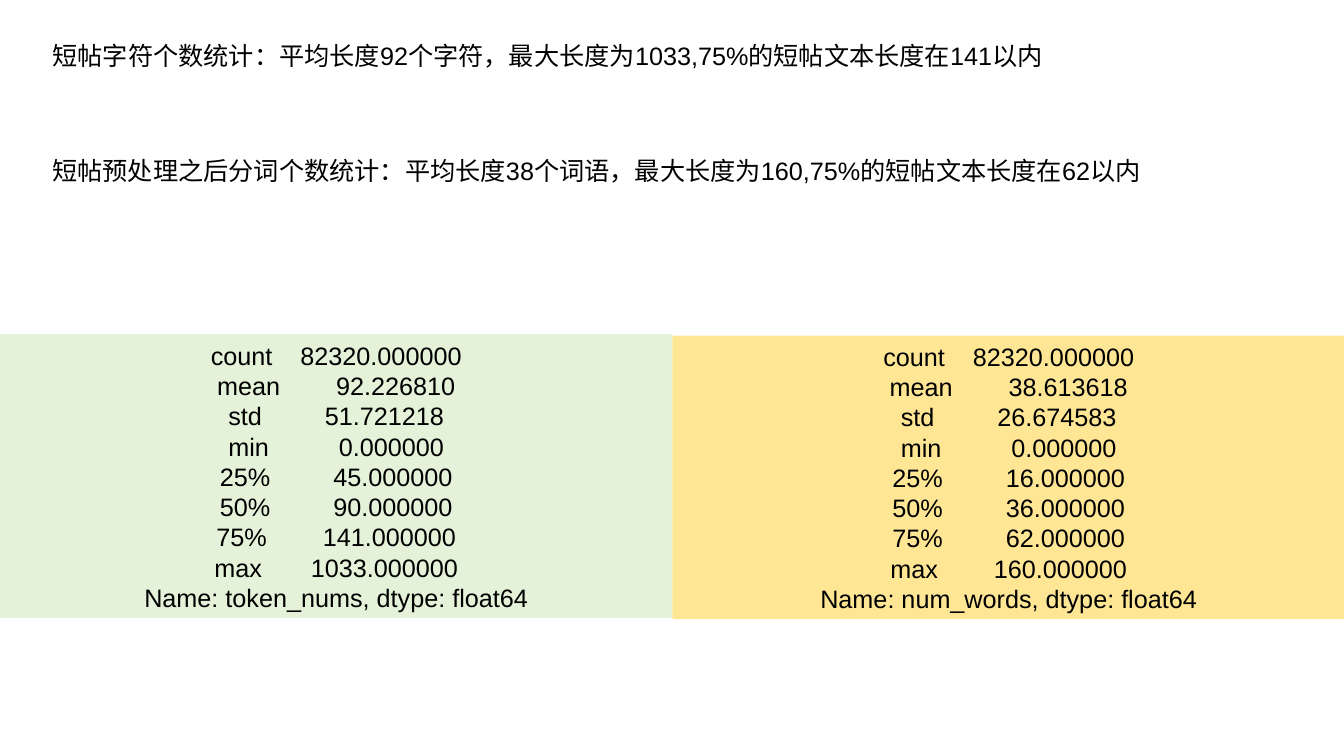
from typing import NamedTuple, Optional

from pptx import Presentation
from pptx.dml.color import RGBColor
from pptx.enum.shapes import MSO_SHAPE
from pptx.enum.text import MSO_ANCHOR, MSO_AUTO_SIZE, PP_ALIGN
from pptx.util import Inches, Pt

BLACK = RGBColor(0x00, 0x00, 0x00)
WHITE = RGBColor(0xFF, 0xFF, 0xFF)
GREEN = RGBColor(0xE3, 0xF2, 0xD9)
YELLOW = RGBColor(0xFE, 0xE6, 0x95)

FONT, SIZE = "Arial", Pt(18)
SLIDE_W, SLIDE_H = 13.33, 7.5
PANEL_W, PANEL_BOTTOM = 6.67, 6.14
STATS = ("count", "mean", "std", "min", "25%", "50%", "75%", "max")


class Panel(NamedTuple):
    series: str
    left: float
    top: float
    fill: RGBColor
    line: Optional[RGBColor]
    values: tuple[float, ...]


SUMMARIES = (
    "短帖字符个数统计：平均长度92个字符，最大长度为1033,75%的短帖文本长度在141以内",
    "短帖预处理之后分词个数统计：平均长度38个词语，最大长度为160,75%的短帖文本长度在62以内",
)
PANELS = (
    Panel("token_nums", 0, 3.31, GREEN, WHITE,
          (82320, 92.22681, 51.721218, 0, 45, 90, 141, 1033)),
    Panel("num_words", PANEL_W, 3.33, YELLOW, None,
          (82320, 38.613618, 26.674583, 0, 16, 36, 62, 160)),
)


def set_text(tf, lines: list[str], align: PP_ALIGN, anchor: MSO_ANCHOR) -> None:
    tf.word_wrap = True
    tf.auto_size = MSO_AUTO_SIZE.NONE
    tf.vertical_anchor = anchor
    for i, line in enumerate(lines):
        p = tf.paragraphs[0] if i == 0 else tf.add_paragraph()
        p.text = line
        p.alignment = align
        p.font.name, p.font.size = FONT, SIZE
        p.font.color.rgb = BLACK


def place_summary(sp, top: float, text: str) -> None:
    sp.left, sp.top = Inches(0.42), Inches(top)
    sp.width, sp.height = Inches(11.98), Inches(0.4)
    set_text(sp.text_frame, [text], PP_ALIGN.LEFT, MSO_ANCHOR.TOP)


def describe(panel: Panel) -> list[str]:
    """Fixed-width statistics listing, closed by the series name."""
    rows = [f"{stat:<5}{value:16.6f}" for stat, value in zip(STATS, panel.values)]
    return rows + [f"Name: {panel.series}, dtype: float64"]


def add_panel(s, panel: Panel) -> None:
    sp = s.shapes.add_shape(
        MSO_SHAPE.RECTANGLE, Inches(panel.left), Inches(panel.top),
        Inches(PANEL_W), Inches(PANEL_BOTTOM - panel.top))
    sp.shadow.inherit = False
    sp.fill.solid()
    sp.fill.fore_color.rgb = panel.fill
    if panel.line is None:
        sp.line.fill.background()
    else:
        sp.line.color.rgb = panel.line
        sp.line.width = Pt(0.75)
    set_text(sp.text_frame, describe(panel), PP_ALIGN.CENTER, MSO_ANCHOR.MIDDLE)


def main() -> None:
    prs = Presentation()
    prs.slide_width, prs.slide_height = Inches(SLIDE_W), Inches(SLIDE_H)
    s = prs.slides.add_slide(prs.slide_layouts[5])  # Title Only

    # Statistics panels
    for panel in PANELS:
        add_panel(s, panel)

    # Summary sentences: the first is the slide title
    place_summary(s.shapes.title, 0.35, SUMMARIES[0])
    place_summary(s.shapes.add_textbox(0, 0, 0, 0), 1.49, SUMMARIES[1])

    prs.save("out.pptx")


if __name__ == "__main__":
    main()
